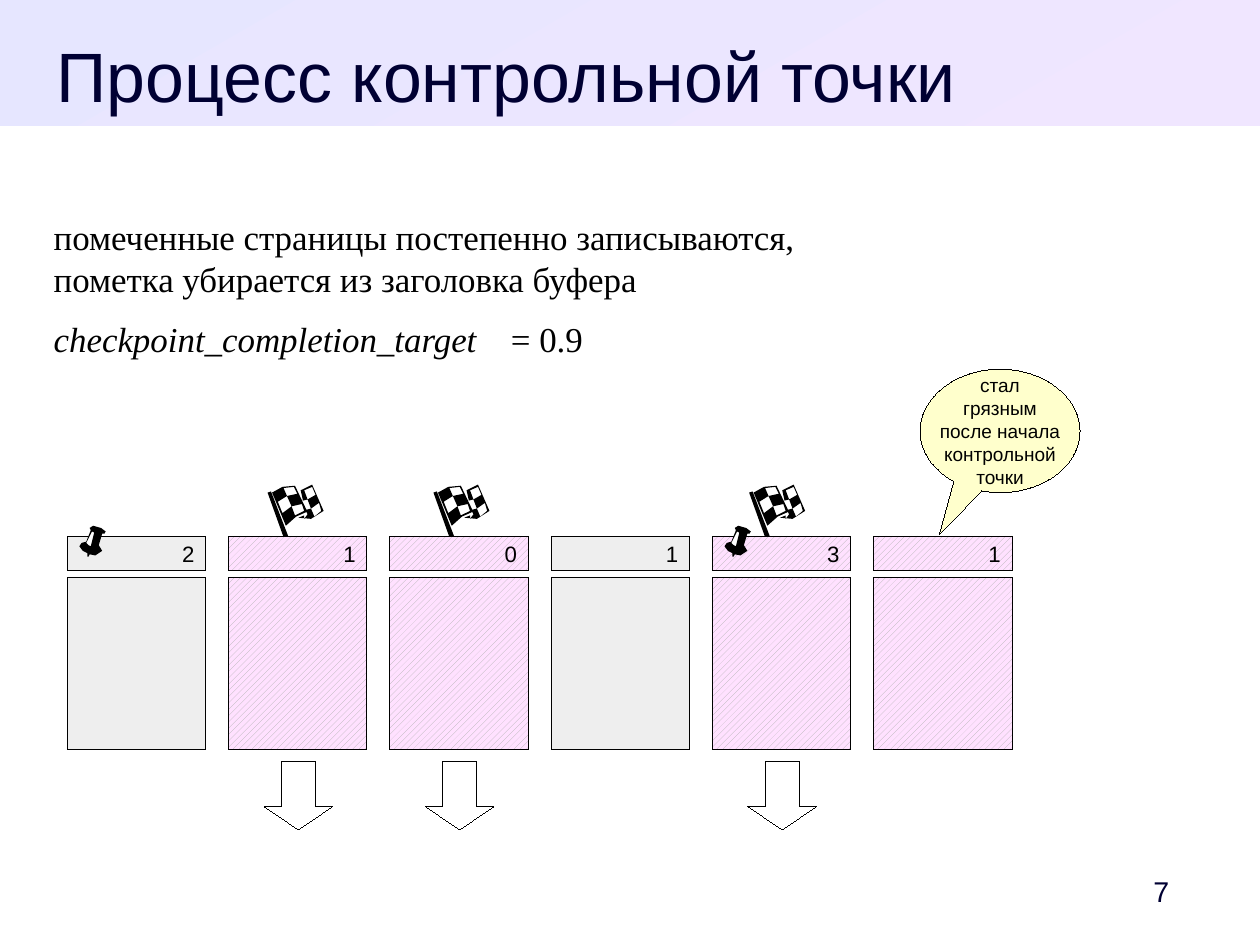
import dataclasses
import typing

import pptx
import pptx.dml.color
import pptx.enum.dml
import pptx.enum.shapes
import pptx.enum.text
import pptx.oxml
import pptx.oxml.ns
import pptx.shapes.autoshape
import pptx.slide
import pptx.text.text
import pptx.util

RGB = pptx.dml.color.RGBColor
SHAPE = pptx.enum.shapes.MSO_SHAPE
ALIGN = pptx.enum.text.PP_ALIGN
ANCHOR = pptx.enum.text.MSO_ANCHOR

BLACK = RGB(0x00, 0x00, 0x00)
WHITE = RGB(0xFF, 0xFF, 0xFF)
NAVY = RGB(0x00, 0x00, 0x33)
BAND_BLUE = RGB(0xE6, 0xE6, 0xFF)
BAND_PINK = RGB(0xF0, 0xE6, 0xFF)
CLEAN_GRAY = RGB(0xEE, 0xEE, 0xEE)
DIRTY_PINK = RGB(0xFF, 0xE1, 0xFF)
HATCH_GRAY = RGB(0xB2, 0xB2, 0xB2)
CALLOUT_YELLOW = RGB(0xFF, 0xFF, 0xCC)

SLIDE_SIZE = {"slide_width": pptx.util.Cm(28), "slide_height": pptx.util.Cm(21)}
CELL = pptx.util.Inches(0.01)
COLUMNS = SLIDE_SIZE["slide_width"] / CELL
HAIRLINE = pptx.util.Emu(1)

Points = list[tuple[int, int]]

FLAG: list[Points] = [
    [(39, 0), (29, 5), (31, 14), (35, 13), (32, 5), (39, 2), (42, 9), (35, 13),
     (38, 21), (45, 16), (47, 23), (41, 28), (38, 21), (34, 22), (24, 1), (13, 2),
     (4, 7), (16, 36), (25, 28), (34, 24), (35, 26), (32, 30), (32, 27), (27, 29),
     (38, 30), (49, 23)],
    [(26, 8), (17, 10), (21, 19), (30, 17), (32, 23), (24, 27), (21, 19),
     (13, 25), (9, 15), (17, 10), (14, 3), (23, 2)],
    [(3, 6), (0, 7), (14, 46), (18, 45)],
]
PIN: list[Points] = [
    [(8, 27), (7, 27), (7, 24), (3, 22), (0, 18), (2, 15), (6, 14), (10, 4),
     (9, 2), (12, 0), (19, 2), (23, 5), (22, 7), (20, 7), (17, 17), (20, 22),
     (14, 26), (9, 25)],
    [(6, 15), (8, 17), (10, 18), (13, 6), (11, 5)],
]


class Box(typing.NamedTuple):
    column: float
    row: float
    columns: float
    rows: float

    def emu(self) -> list[int]:
        return [round(cells * CELL) for cells in self]


@dataclasses.dataclass(frozen=True)
class Buffer:
    usage: str
    dirty: bool = False
    pinned: bool = False
    flag_offset: int | None = None


BUFFERS = [
    Buffer("2", pinned=True),
    Buffer("1", dirty=True, flag_offset=34),
    Buffer("0", dirty=True, flag_offset=38),
    Buffer("1"),
    Buffer("3", dirty=True, pinned=True, flag_offset=32),
    Buffer("1", dirty=True),
]
FIRST_COLUMN, BUFFER_STEP, BUFFER_COLUMNS = 59, 141.1, 121

SMALL_INSETS = {"margin_left": CELL * 10, "margin_right": CELL * 10,
                "margin_top": CELL * 5, "margin_bottom": CELL * 5}
NO_INSETS = dict.fromkeys(SMALL_INSETS, 0)
CENTERED_LABEL = {**SMALL_INSETS, "vertical_anchor": ANCHOR.MIDDLE, "word_wrap": False}


def assign(target: typing.Any, values: dict[str, typing.Any]) -> None:
    for name, value in values.items():
        setattr(target, name, value)


def font_values(size: float, name: str = "Arial", italic: bool = False) -> dict[str, typing.Any]:
    return {"size": pptx.util.Pt(size), "name": name, "italic": italic}


def write(paragraph: pptx.text.text._Paragraph, text: str, font: dict[str, typing.Any],
          color: RGB = BLACK) -> None:
    run = paragraph.add_run()
    run.text = text
    assign(run.font, font)
    run.font.color.rgb = color


def paint(shape: pptx.shapes.autoshape.Shape, color: RGB, outlined: bool = True) -> None:
    shape.shadow.inherit = False
    shape.fill.solid()
    shape.fill.fore_color.rgb = color
    if outlined:
        shape.line.color.rgb = BLACK
        shape.line.width = HAIRLINE
    else:
        shape.line.fill.background()


def add_preset(slide: pptx.slide.Slide, kind: SHAPE, box: Box, color: RGB,
               outlined: bool = True) -> pptx.shapes.autoshape.Shape:
    shape = slide.shapes.add_shape(kind, *box.emu())
    paint(shape, color, outlined)
    return shape


def add_outline(slide: pptx.slide.Slide, contours: list[Points], column: float, row: float) -> None:
    builder = slide.shapes.build_freeform(*contours[0][0], scale=float(CELL))
    for contour in contours:
        builder.move_to(*contour[0])
        builder.add_line_segments(contour[1:], close=True)
    paint(builder.convert_to_shape(round(column * CELL), round(row * CELL)), BLACK, outlined=False)


def add_text(slide: pptx.slide.Slide, box: Box, frame: dict[str, typing.Any]) -> pptx.text.text.TextFrame:
    text_frame = slide.shapes.add_textbox(*box.emu()).text_frame
    assign(text_frame, {"word_wrap": True, **frame})
    return text_frame


def add_cell(slide: pptx.slide.Slide, box: Box, dirty: bool) -> pptx.shapes.autoshape.Shape:
    cell = add_preset(slide, SHAPE.RECTANGLE, box, CLEAN_GRAY)
    if dirty:
        cell.fill.patterned()
        cell.fill.pattern = pptx.enum.dml.MSO_PATTERN.WIDE_UPWARD_DIAGONAL
        cell.fill.fore_color.rgb = HATCH_GRAY
        cell.fill.back_color.rgb = DIRTY_PINK
    return cell


def add_buffer(slide: pptx.slide.Slide, buffer: Buffer, column: float) -> None:
    if buffer.flag_offset is not None:
        add_outline(slide, FLAG, column + buffer.flag_offset, 424)
        arrow = add_preset(slide, SHAPE.DOWN_ARROW, Box(column + 31, 666, 60, 60), WHITE)
        arrow.adjustments[0], arrow.adjustments[1] = 0.5, 0.34
    add_cell(slide, Box(column, 505, BUFFER_COLUMNS, 151), buffer.dirty)
    header = add_cell(slide, Box(column, 469, BUFFER_COLUMNS, 30), buffer.dirty).text_frame
    assign(header, CENTERED_LABEL)
    header.paragraphs[0].alignment = ALIGN.RIGHT
    write(header.paragraphs[0], buffer.usage, font_values(14))
    if buffer.pinned:
        needle = add_preset(slide, SHAPE.RECTANGLE, Box(column + 18, 465, 7, 14), WHITE, outlined=False)
        needle.rotation = 24.8
        add_outline(slide, PIN, column + 10.5, 460)


def add_heading(slide: pptx.slide.Slide) -> None:
    band = add_preset(slide, SHAPE.RECTANGLE, Box(0, 0, COLUMNS, 110), BAND_BLUE, outlined=False)
    band.fill.gradient()
    band.fill.gradient_angle = 300
    for stop, color in zip(band.fill.gradient_stops, (BAND_BLUE, BAND_PINK)):
        stop.color.rgb = color
    title = add_text(slide, Box(47, 29, 793, 137), NO_INSETS).paragraphs[0]
    title.alignment = ALIGN.CENTER
    write(title, "Процесс контрольной точки", font_values(44), NAVY)
    number = add_text(slide, Box(969, 756, 87, 47),
                      {**SMALL_INSETS, "margin_right": CELL * 33, "vertical_anchor": ANCHOR.MIDDLE})
    number.paragraphs[0].alignment = ALIGN.RIGHT
    write(number.paragraphs[0], "7", font_values(18), NAVY)


def add_explanation(slide: pptx.slide.Slide) -> None:
    body = add_text(slide, Box(47, 189, 1008, 571), NO_INSETS)
    serif = font_values(22, "Times New Roman")
    process, setting = body.paragraphs[0], body.add_paragraph()
    process.space_after = pptx.util.Pt(11.3)
    write(process, "помеченные страницы постепенно записываются,", serif)
    process.add_line_break()
    write(process, "пометка убирается из заголовка буфера", serif)
    setting.space_after = pptx.util.Pt(5.7)
    tabs = pptx.oxml.parse_xml(
        f'<a:tabLst {pptx.oxml.ns.nsdecls("a")}><a:tab pos="{CELL * 400}" algn="l"/></a:tabLst>')
    setting._p.get_or_add_pPr().append(tabs)
    write(setting, "checkpoint_completion_target\t", {**serif, "italic": True})
    write(setting, "= 0.9", serif)


def add_callout(slide: pptx.slide.Slide) -> None:
    callout = add_preset(slide, SHAPE.OVAL_CALLOUT, Box(805, 323, 140, 108), CALLOUT_YELLOW)
    callout.adjustments[0], callout.adjustments[1] = -0.38, 0.84
    remark = callout.text_frame
    assign(remark, CENTERED_LABEL)
    for index, words in enumerate(("стал", "грязным", "после начала", "контрольной", "точки")):
        paragraph = remark.add_paragraph() if index else remark.paragraphs[0]
        paragraph.alignment = ALIGN.CENTER
        write(paragraph, words, font_values(12))


def main() -> None:
    deck = pptx.Presentation()
    assign(deck, SLIDE_SIZE)
    slide = deck.slides.add_slide(deck.slide_layouts[6])
    add_heading(slide)
    add_explanation(slide)
    for index, buffer in enumerate(BUFFERS):
        add_buffer(slide, buffer, FIRST_COLUMN + index * BUFFER_STEP)
    add_callout(slide)
    deck.save("out.pptx")


if __name__ == "__main__":
    main()
